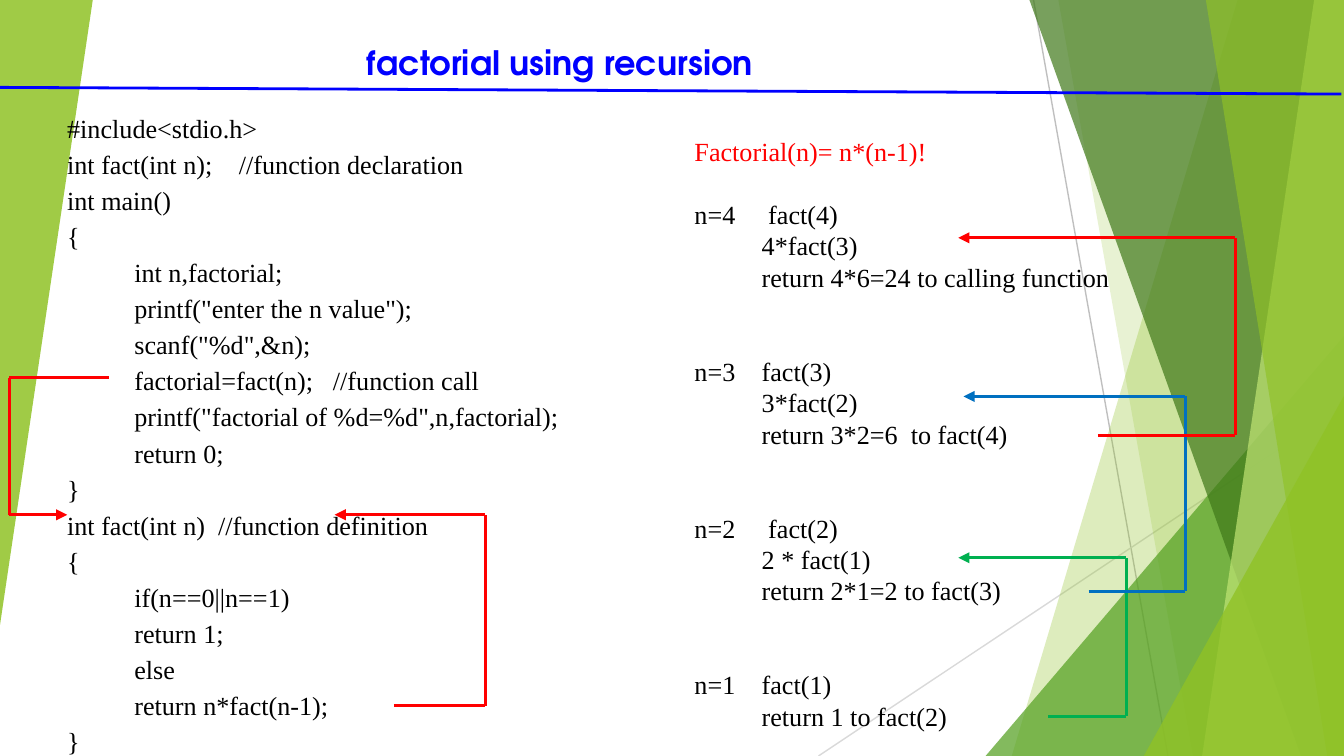
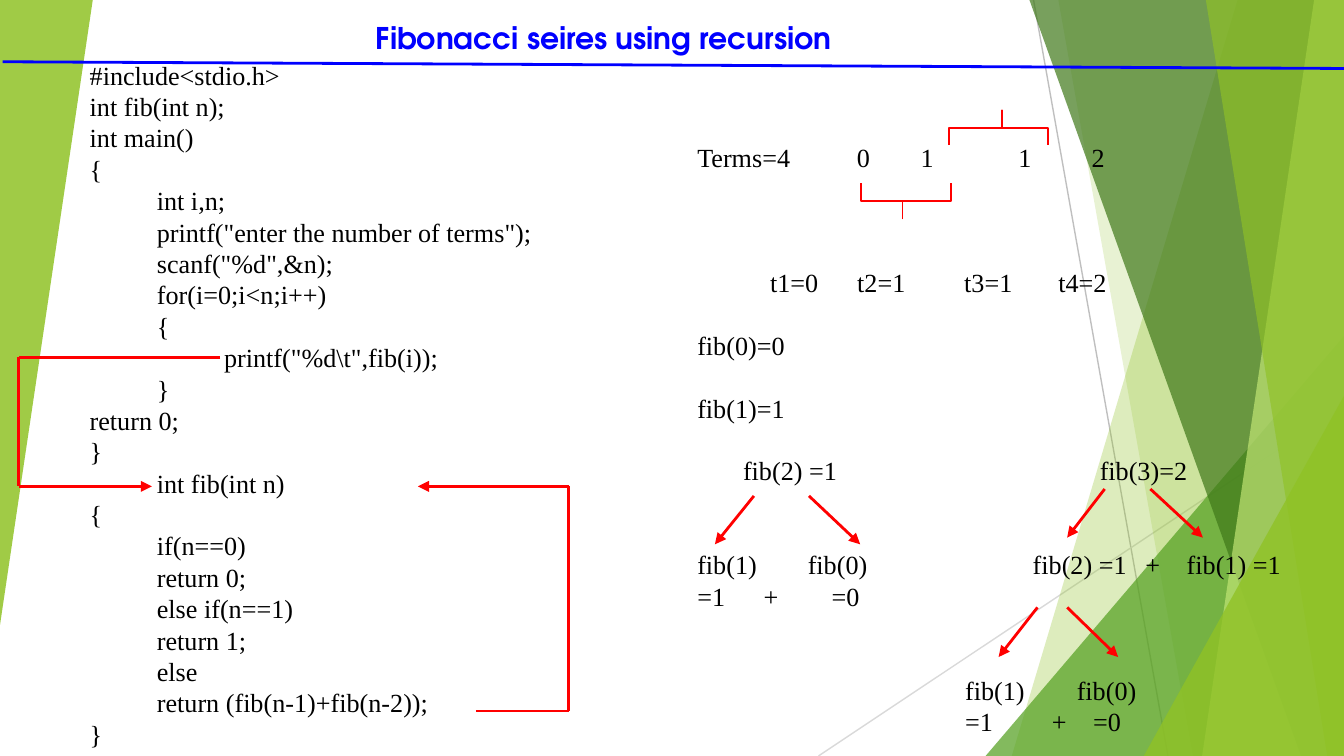
from itertools import pairwise

from lxml import etree
from pptx import Presentation
from pptx.dml.color import RGBColor
from pptx.enum.shapes import MSO_CONNECTOR, MSO_SHAPE
from pptx.enum.text import MSO_ANCHOR, PP_ALIGN
from pptx.oxml.ns import qn
from pptx.util import Pt

STRAIGHT = MSO_CONNECTOR.STRAIGHT
TRIANGLE, BRACE = MSO_SHAPE.ISOSCELES_TRIANGLE, MSO_SHAPE.LEFT_BRACE
TOP, LEFT = MSO_ANCHOR.TOP, PP_ALIGN.LEFT

W, H = 720, 405
TITLE_FONT, BODY_FONT, BODY_SIZE = "TeX Gyre Adventor", "Times New Roman", 14
LINE_PITCH = 16.8
TAB_STOPS = [36 * k for k in range(1, 9)]
COLORS = {
    "title": "0000FF", "text": "000000", "red": "FF0000", "green": "00B050",
    "blue": "0070C0", "grey": "BFBFBF", "pale": "D9D9D9", "leaf": "90C226",
    "grass": "54A021", "forest": "3F7819", "lime": "C0E474",
}

# Background: thin lines, full-height facets and corner triangles
THIN_LINES = [("grey", (553.7, 0), (625.7, H)), ("pale", (W, 217.4), (438.5, H))]
# (colour, opacity %, x at top, x at bottom), each reaching the right edge
BACK_FACETS = [("leaf", 30, 663, 542), ("leaf", 20, 567, 639)]
FRONT_FACETS = [("forest", 70, 551.5, 697), ("lime", 70, 704, 644),
                ("leaf", 65, 646, 711)]
# (colour, opacity %, box, rotation)
GRASS_CORNER = ("grass", 72, (528, 180, 192, 225), 0)
LEAF_CORNER = ("leaf", 80, (612.7, 212, 107.3, 193), 0)
LEFT_CORNER = ("leaf", 85, (0, 0, 49.7, 334.8), 180)

# A line is a string, or (string, blank lines above, own tab stops)
FACTORIAL_CODE = [
    "#include<stdio.h>",
    ("int fact(int n);\t//function declaration", 0, [92]),
    "int main()",
    "{",
    "\tint n,factorial;",
    '\tprintf("enter the n value");',
    '\tscanf("%d",&n);',
    ("\tfactorial=fact(n);\t//function call", 0, [36, 142.4]),
    '\tprintf("factorial of %d=%d",n,factorial);',
    "\treturn 0;",
    "}",
    "int fact(int n)  //function definition",
    "{",
    "\tif(n==0||n==1)",
    "\treturn 1;",
    "\telse",
    "\treturn n*fact(n-1);",
    "}",
]
FACTORIAL_TRACE = [
    "Factorial(n)= n*(n-1)!",
    ("n=4\t fact(4)", 1, []),
    "\t4*fact(3)",
    "\treturn 4*6=24 to calling function",
    ("n=3\tfact(3)", 2, []),
    "\t3*fact(2)",
    "\treturn 3*2=6  to fact(4)",
    ("n=2\t fact(2)", 2, []),
    "\t2 * fact(1)",
    "\treturn 2*1=2 to fact(3)",
    ("n=1\tfact(1)", 2, []),
    "\treturn 1 to fact(2)",
]
FIBONACCI_CODE = [
    "#include<stdio.h>",
    "int fib(int n);",
    "int main()",
    "{",
    "\tint i,n;",
    '\tprintf("enter the number of terms");',
    '\tscanf("%d",&n);',
    "\tfor(i=0;i<n;i++)",
    "\t{",
    '\t\tprintf("%d\\t",fib(i));',
    "\t}",
    "return 0;",
    "}",
    "\tint fib(int n)",
    "{",
    "\tif(n==0)",
    "\treturn 0;",
    "\telse if(n==1)",
    "\treturn 1;",
    "\telse",
    "\treturn (fib(n-1)+fib(n-2));",
    "}",
]
FIBONACCI_TRACE = [
    ("Terms=4\t0\t1\t1\t2", 0, [85.5, 119.7, 172, 211.3]),
    ("\tt1=0\tt2=1\tt3=1\tt4=2", 3, [39, 85.7, 143, 193.4]),
    ("fib(0)=0", 1, []),
    ("fib(1)=1", 1, []),
    ("\tfib(2) =1\tfib(3)=2", 1, [24.5, 215.6]),
    ("fib(1)\tfib(0)\tfib(2) =1\t+\tfib(1) =1", 2, [59.2, 179.7, 240, 262.2]),
    ("=1\t+\t=0", 0, [35.5, 72]),
    ("\tfib(1)\tfib(0)", 2, [143.5, 203.3]),
    ("\t=1\t+\t=0", 0, [143.5, 190, 212]),
]

# Routes are (colour, points); the last stretch carries the arrowhead
SLIDES = [
    {
        "title": ("factorial using recursion", 18, (143.3, 12.6, 396, 36), 53.3),
        "rule": ((0, 46.8), (718.6, 50.4)),
        "texts": [
            # lines, box, (side inset, top inset), line pitch, first line colour
            (FACTORIAL_CODE, (16.6, 50.4, 684, 333.4), (19.4, 7.2),
             LINE_PITCH * 1.15, "text"),
            (FACTORIAL_TRACE, (365, 69.1, 336.2, 335), (7.2, 3.6),
             LINE_PITCH, "red"),
        ],
        "braces": [],
        "routes": [
            ("red", [(58.3, 202.4), (5, 202.4), (5, 275.8), (36, 275.8)]),
            ("red", [(211, 378), (260, 378), (260, 275.8), (179.3, 275.8)]),
            ("green", [(561.6, 383.8), (603.4, 383.8), (603.4, 298.8), (513.4, 298.8)]),
            ("blue", [(583.2, 316.8), (635, 316.8), (635, 212.4), (516.2, 212.4)]),
            ("red", [(588.2, 233.3), (661.7, 233.3), (661.7, 127.4), (513.4, 127.4)]),
        ],
    },
    {
        "title": ("Fibonacci seires using recursion", 16, (126.7, 0.7, 375, 36), 74.7),
        "rule": ((1.4, 33.1), (W, 36.7)),
        "texts": [
            (FIBONACCI_CODE, (41, 24.5, 679, 380), (7.2, 7.2), LINE_PITCH, "text"),
            (FIBONACCI_TRACE, (366.5, 72, 344, 333), (7.2, 3.6), LINE_PITCH, "text"),
        ],
        "braces": [((475.9, 83.5, 18.7, 48.2), 270), ((525.6, 41.8, 18.7, 53.3), 90)],
        "routes": [
            ("red", [(118, 191.5), (10, 191.5), (10, 260.6), (81.4, 260.6)]),
            ("red", [(254.9, 380.9), (304.6, 380.9), (304.6, 260.6), (223.9, 260.6)]),
            ("red", [(403.9, 265.7), (383, 291.6)]),
            ("red", [(433.4, 265.7), (460.8, 291.6)]),
            ("red", [(591.8, 262), (571.7, 288)]),
            ("red", [(616.3, 262), (644.4, 288)]),
            ("red", [(555.8, 325.4), (535, 352)]),
            ("red", [(571.7, 325.4), (599, 352)]),
        ],
    },
]


def rgb(name):
    return RGBColor.from_string(COLORS[name])


def pts(values):
    return [Pt(v) for v in values]


def add_line(s, color, start, end, width=1.5, arrow=False):
    line = s.shapes.add_connector(STRAIGHT, *pts(start + end))
    line.line.color.rgb = rgb(color)
    line.line.width = Pt(width)
    if arrow:
        etree.SubElement(line.line._get_or_add_ln(), qn("a:tailEnd"), type="triangle")
    etree.SubElement(line._element.spPr, qn("a:effectLst"))


def paint(shape, color, opacity):
    shape.shadow.inherit = False
    shape.fill.solid()
    shape.fill.fore_color.rgb = rgb(color)
    shape.line.fill.background()
    clr = shape._element.spPr.find(qn("a:solidFill"))[0]
    etree.SubElement(clr, qn("a:alpha"), val=str(opacity * 1000))


def add_facet(s, color, opacity, top_x, bottom_x):
    fb = s.shapes.build_freeform(Pt(top_x), 0)
    fb.add_line_segments([pts(p) for p in ((W, 0), (W, H), (bottom_x, H))], close=True)
    paint(fb.convert_to_shape(), color, opacity)


def add_corner(s, color, opacity, box, rotation):
    corner = s.shapes.add_shape(TRIANGLE, *pts(box))
    corner.adjustments[0] = 1
    corner.rotation = rotation
    paint(corner, color, opacity)


def add_background(s):
    for color, start, end in THIN_LINES:
        add_line(s, color, start, end, 0.75)
    for facet in BACK_FACETS:
        add_facet(s, *facet)
    add_corner(s, *GRASS_CORNER)
    for facet in FRONT_FACETS:
        add_facet(s, *facet)
    add_corner(s, *LEAF_CORNER)
    add_corner(s, *LEFT_CORNER)


def style(r, font, size, color, bold=False):
    r.font.name, r.font.size, r.font.bold = font, Pt(size), bold
    r.font.color.rgb = rgb(color)


def set_title(s, text, size, box, indent):
    title = s.shapes.title
    title.left, title.top, title.width, title.height = pts(box)
    tf = title.text_frame
    tf.text = text
    tf.vertical_anchor, tf.word_wrap = TOP, True
    tf.margin_left, tf.margin_top, tf.margin_right, tf.margin_bottom = pts(
        (indent, 10, 0, 0))
    p = tf.paragraphs[0]
    p.alignment = LEFT
    style(p.runs[0], TITLE_FONT, size, "title", True)


def add_text(s, lines, box, insets, pitch, first_color):
    tf = s.shapes.add_textbox(*pts(box)).text_frame
    tf.word_wrap = True
    tf.margin_left, tf.margin_top = pts(insets)
    for i, line in enumerate(lines):
        text, blanks, stops = (line, 0, []) if isinstance(line, str) else line
        p = tf.add_paragraph() if i else tf.paragraphs[0]
        p.text = text
        p.line_spacing = Pt(pitch)
        p.space_before = Pt(blanks * pitch)
        tabs = etree.SubElement(p._p.get_or_add_pPr(), qn("a:tabLst"))
        for stop in stops or TAB_STOPS:
            etree.SubElement(tabs, qn("a:tab"), pos=str(Pt(stop)), algn="l")
        style(p.runs[0], BODY_FONT, BODY_SIZE, "text" if i else first_color)


def add_brace(s, box, rotation):
    brace = s.shapes.add_shape(BRACE, *pts(box))
    brace.adjustments[0], brace.adjustments[1] = 0, 0.464
    brace.rotation = rotation
    brace.shadow.inherit = False
    brace.fill.background()
    brace.line.color.rgb = rgb("red")
    brace.line.width = Pt(1)


def add_route(s, color, points):
    for start, end in pairwise(points):
        add_line(s, color, start, end, arrow=end == points[-1])


def main():
    prs = Presentation()
    prs.slide_width, prs.slide_height = Pt(W), Pt(H)
    for content in SLIDES:
        s = prs.slides.add_slide(prs.slide_layouts[5])
        add_background(s)
        add_line(s, "title", *content["rule"])
        set_title(s, *content["title"])
        for text in content["texts"]:
            add_text(s, *text)
        for brace in content["braces"]:
            add_brace(s, *brace)
        for route in content["routes"]:
            add_route(s, *route)
    prs.save("out.pptx")


if __name__ == "__main__":
    main()
